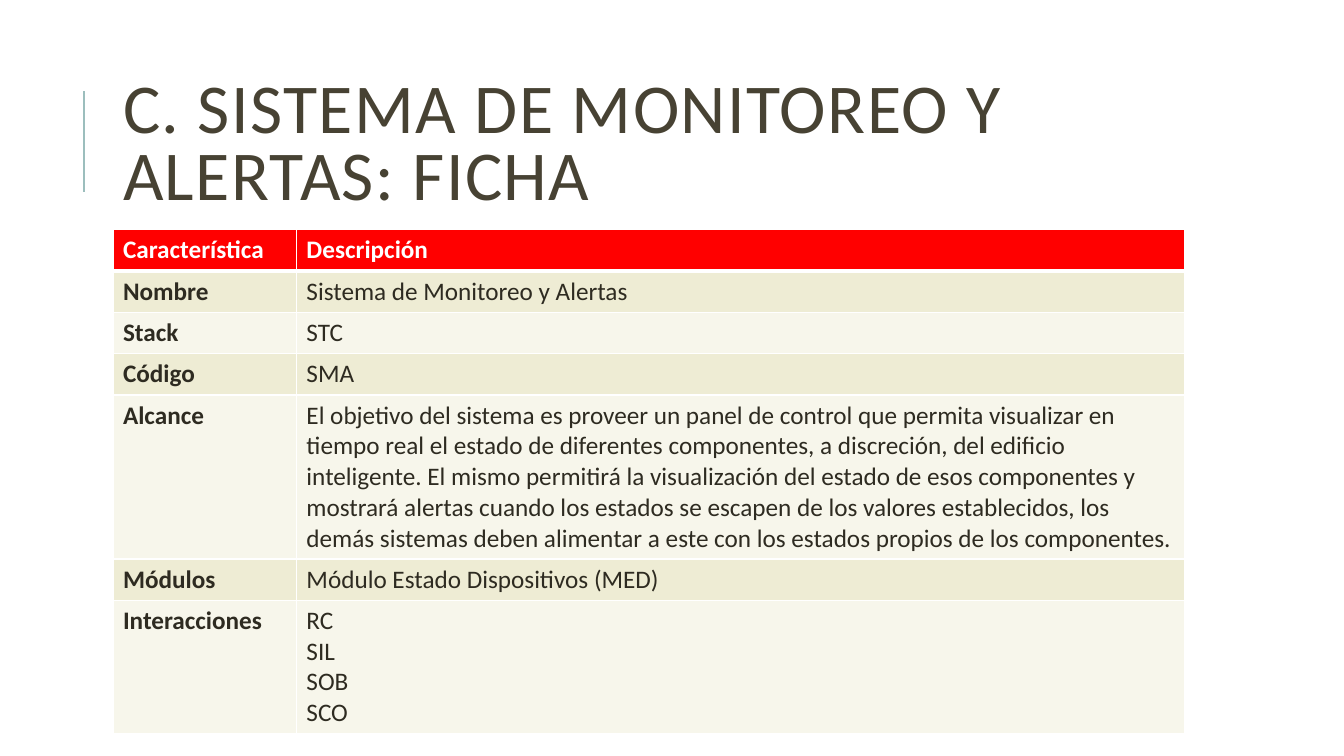
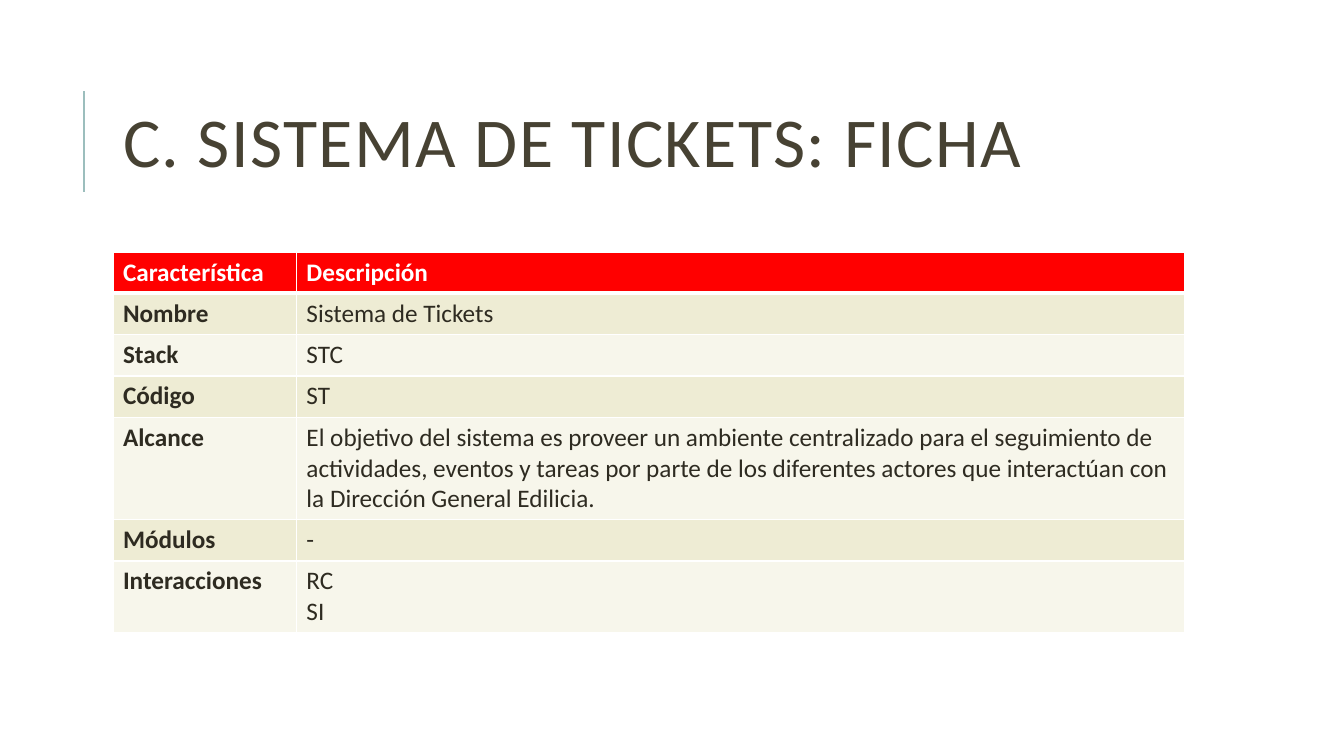
"""Build two system data-sheet slides, each with a title and a table."""
from lxml.etree import SubElement
from pptx import Presentation
from pptx.dml.color import RGBColor
from pptx.enum.shapes import MSO_CONNECTOR
from pptx.enum.text import MSO_ANCHOR, MSO_AUTO_SIZE, PP_ALIGN
from pptx.oxml.ns import qn
from pptx.util import Inches, Pt

COLORS = {
    "title": "474233",
    "accent": "9CBEBD",
    "header": "FF0000",
    "white": "FFFFFF",
    "text": "2E2B21",
    "odd": "EEECD4",
    "even": "F7F6EB",
}
FONT = "Calibri"
LEFT, WIDTH = 1.12, 10.63
COLUMN_WIDTHS = [1.82, 8.81]
ROW_HEIGHT = 0.41
HEADER = ("Característica", ["Descripción"])

SHEETS = [
    {
        "title": "C. SISTEMA DE MONITOREO Y ALERTAS: FICHA",
        "top": 2.28,
        "rows": [
            ("Nombre", ["Sistema de Monitoreo y Alertas"]),
            ("Stack", ["STC"]),
            ("Código", ["SMA"]),
            ("Alcance", [
                "El objetivo del sistema es proveer un panel de control que permita "
                "visualizar en tiempo real el estado de diferentes componentes, a "
                "discreción, del edificio inteligente. El mismo permitirá la "
                "visualización del estado de esos componentes y mostrará alertas "
                "cuando los estados se escapen de los valores establecidos, los demás "
                "sistemas deben alimentar a este con los estados propios de los "
                "componentes."
            ]),
            ("Módulos", ["Módulo Estado Dispositivos (MED)"]),
            ("Interacciones", ["RC", "SIL", "SOB", "SCO"]),
        ],
    },
    {
        "title": "C. SISTEMA DE TICKETS: FICHA",
        "top": 2.5,
        "rows": [
            ("Nombre", ["Sistema de Tickets"]),
            ("Stack", ["STC"]),
            ("Código", ["ST"]),
            ("Alcance", [
                "El objetivo del sistema es proveer un ambiente centralizado para el "
                "seguimiento de actividades, eventos y tareas por parte de los "
                "diferentes actores que interactúan con la Dirección General Edilicia."
            ]),
            ("Módulos", ["-"]),
            ("Interacciones", ["RC", "SI"]),
        ],
    },
]


def set_attributes(target, values):
    for name, value in values.items():
        setattr(target, name, value)


def format_font(font, size, color, bold=False):
    set_attributes(font, {"name": FONT, "size": Pt(size), "bold": bold})
    font.color.rgb = RGBColor.from_string(COLORS[color])


def add_accent_line(slide):
    line = slide.shapes.add_connector(
        MSO_CONNECTOR.STRAIGHT, Inches(0.83), Inches(1.9), Inches(0.83), Inches(0.9))
    line.line.color.rgb = RGBColor.from_string(COLORS["accent"])
    line.line.width = Pt(1.5)
    SubElement(line._element.spPr, qn("a:effectLst"))


def format_title(title, text):
    set_attributes(title, {"left": Inches(LEFT), "top": Inches(0.64),
                           "width": Inches(WIDTH), "height": Inches(1.64)})
    frame = title.text_frame
    frame.text = text
    set_attributes(frame, {"word_wrap": True, "auto_size": MSO_AUTO_SIZE.NONE,
                           "vertical_anchor": MSO_ANCHOR.MIDDLE})
    paragraph = frame.paragraphs[0]
    set_attributes(paragraph, {"alignment": PP_ALIGN.LEFT, "line_spacing": 0.8})
    run = paragraph.runs[0]
    format_font(run.font, 50, "title")
    run._r.get_or_add_rPr().set("spc", "100")


def add_borders(cell, row_index):
    widths = {"L": 1, "R": 1, "T": 3 if row_index == 1 else 1,
              "B": 3 if row_index == 0 else 1}
    properties = cell._tc.get_or_add_tcPr()
    for side, width in widths.items():
        border = SubElement(properties, qn(f"a:ln{side}"), w=str(Pt(width)))
        fill = SubElement(border, qn("a:solidFill"))
        SubElement(fill, qn("a:srgbClr"), val=COLORS["white"])


def fill_cell(cell, lines, row_index, bold):
    add_borders(cell, row_index)
    fill = "header" if row_index == 0 else "odd" if row_index % 2 else "even"
    cell.fill.solid()
    cell.fill.fore_color.rgb = RGBColor.from_string(COLORS[fill])
    cell.text = "\n".join(lines)
    for paragraph in cell.text_frame.paragraphs:
        format_font(paragraph.runs[0].font, 18, "text" if row_index else "white", bold)


def add_sheet_table(slide, top, body):
    rows = [HEADER] + body
    table = slide.shapes.add_table(
        len(rows), len(COLUMN_WIDTHS), Inches(LEFT), Inches(top),
        Inches(WIDTH), Inches(ROW_HEIGHT * len(rows))).table
    for column, width in zip(table.columns, COLUMN_WIDTHS):
        column.width = Inches(width)
    for row_index, (label, lines) in enumerate(rows):
        fill_cell(table.cell(row_index, 0), [label], row_index, True)
        fill_cell(table.cell(row_index, 1), lines, row_index, row_index == 0)


def main():
    presentation = Presentation()
    set_attributes(presentation, {"slide_width": Inches(13.33),
                                  "slide_height": Inches(7.5)})
    for sheet in SHEETS:
        slide = presentation.slides.add_slide(presentation.slide_layouts[5])
        add_accent_line(slide)
        format_title(slide.shapes.title, sheet["title"])
        add_sheet_table(slide, sheet["top"], sheet["rows"])
    presentation.save("out.pptx")


if __name__ == "__main__":
    main()
